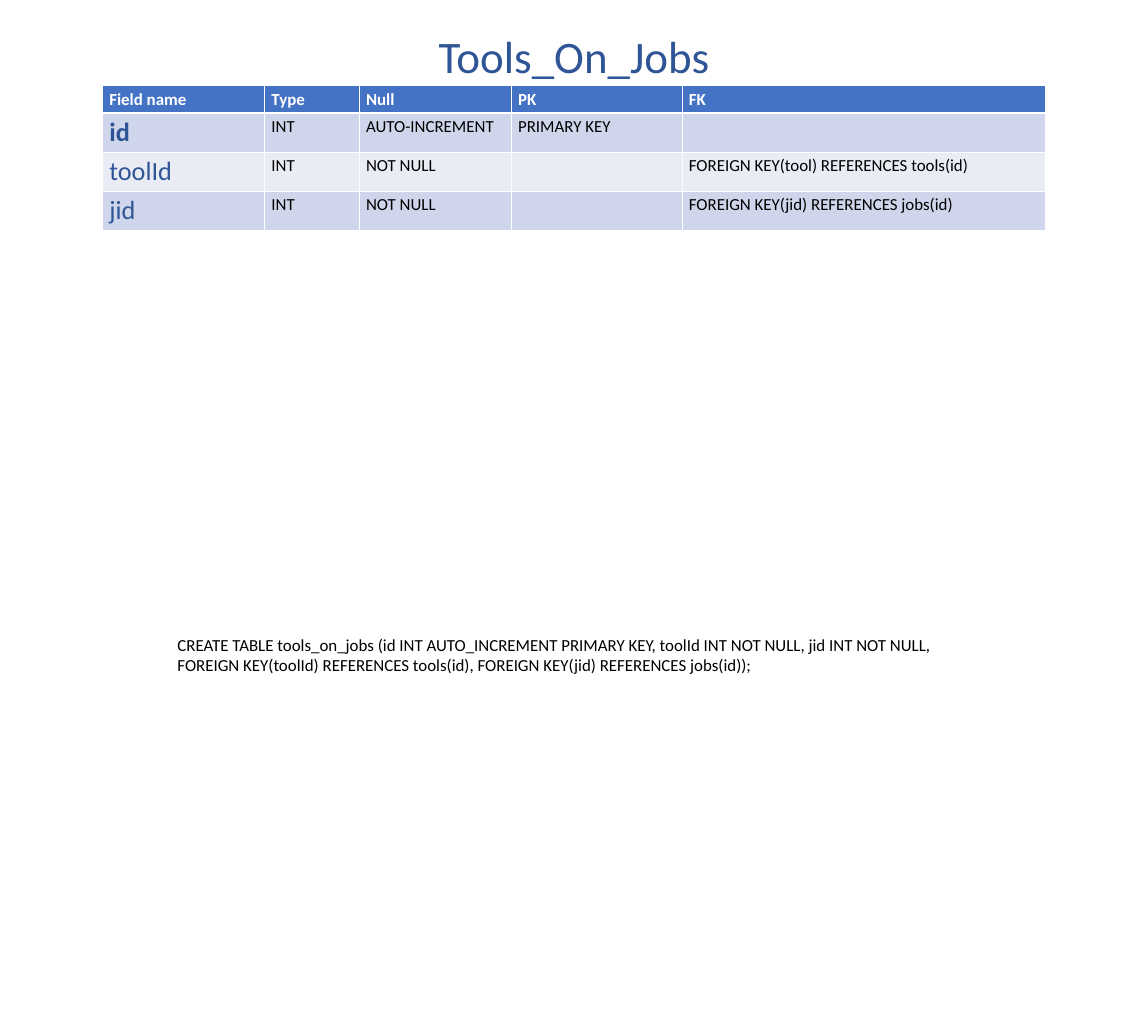
from dataclasses import dataclass

from lxml.etree import SubElement
from pptx import Presentation
from pptx.dml.color import RGBColor
from pptx.enum.text import MSO_ANCHOR as Anchor, MSO_AUTO_SIZE as AutoSize, PP_ALIGN as Align
from pptx.oxml.ns import qn
from pptx.slide import Slide
from pptx.table import _Cell as Cell
from pptx.text.text import TextFrame
from pptx.util import Inches, Pt

WIDTH, HEIGHT = Inches(17), Inches(15)
FONT = "Calibri"
WHITE, BLACK, NAVY, HEADER_BLUE = "FFFFFF", "000000", "2F5597", "4472C4"
BANDS = ("CFD5EA", "E9EBF5")
HEADINGS = ("Field name", "Type", "Null", "PK", "FK")
COLUMN_SHARES = (14.12, 8.24, 13.24, 14.88, 31.65)
HEADER_SHARE, FIELD_SHARE = 2.7, 3.85
SQL = (
    "CREATE TABLE tools_on_jobs (id INT AUTO_INCREMENT PRIMARY KEY, "
    "toolId INT NOT NULL, jid INT NOT NULL, "
    "FOREIGN KEY(toolId) REFERENCES tools(id), "
    "FOREIGN KEY(jid) REFERENCES jobs(id));"
)


@dataclass(frozen=True)
class Area:
    """A rectangle in percent of the slide's width and height."""
    left: float
    top: float
    width: float
    height: float

    def lengths(self) -> tuple[int, int, int, int]:
        return across(self.left), down(self.top), across(self.width), down(self.height)


@dataclass(frozen=True)
class Field:
    name: str
    null: str
    primary: str = ""
    foreign: str = ""
    kind: str = "INT"
    bold: bool = False


@dataclass(frozen=True)
class Style:
    size: int
    color: str
    bold: bool = False


FIELDS = (
    Field("id", "AUTO-INCREMENT", primary="PRIMARY KEY", bold=True),
    Field("toolId", "NOT NULL", foreign="FOREIGN KEY(tool) REFERENCES tools(id)"),
    Field("jid", "NOT NULL", foreign="FOREIGN KEY(jid) REFERENCES jobs(id)"),
)
TITLE_AREA = Area(33.33, 2.47, 33.33, 6.07)
TABLE_AREA = Area(8.94, 8.47, sum(COLUMN_SHARES), HEADER_SHARE + FIELD_SHARE * len(FIELDS))
SQL_AREA = Area(14.88, 62.33, 69.71, 4.73)
HEADING_STYLE = Style(18, WHITE, bold=True)
BODY_STYLE = Style(18, BLACK)


def across(share: float) -> int:
    return round(WIDTH * share / 100)


def down(share: float) -> int:
    return round(HEIGHT * share / 100)


def rgb(color: str) -> RGBColor:
    return RGBColor.from_string(color)


def write(frame: TextFrame, text: str, style: Style) -> None:
    frame.text = text
    for para in frame.paragraphs:
        para.font.size = Pt(style.size)
        for span in para.runs:
            span.font.name = FONT
            span.font.size = Pt(style.size)
            span.font.bold = style.bold
            span.font.color.rgb = rgb(style.color)


def add_borders(cell: Cell, top: int, bottom: int) -> None:
    """Draw white borders, with the top and bottom widths in points."""
    properties = cell._tc.get_or_add_tcPr()
    for side, points in (("L", 1), ("R", 1), ("T", top), ("B", bottom)):
        line = SubElement(properties, qn(f"a:ln{side}"), w=str(Pt(points)))
        fill = SubElement(line, qn("a:solidFill"))
        SubElement(fill, qn("a:srgbClr"), val=WHITE)


def fill_cell(cell: Cell, text: str, style: Style, color: str, row: int) -> None:
    write(cell.text_frame, text, style)
    add_borders(cell, top=3 if row == 1 else 1, bottom=3 if row == 0 else 1)
    cell.fill.solid()
    cell.fill.fore_color.rgb = rgb(color)


def add_title(slide: Slide) -> None:
    title = slide.shapes.title
    title.left, title.top, title.width, title.height = TITLE_AREA.lengths()
    frame = title.text_frame
    write(frame, "Tools_On_Jobs", Style(48, NAVY))
    frame.auto_size = AutoSize.NONE
    frame.vertical_anchor = Anchor.TOP
    frame.paragraphs[0].alignment = Align.CENTER


def add_field_table(slide: Slide) -> None:
    table = slide.shapes.add_table(
        len(FIELDS) + 1, len(HEADINGS), *TABLE_AREA.lengths()
    ).table
    for column, share in zip(table.columns, COLUMN_SHARES):
        column.width = across(share)
    for index, row in enumerate(table.rows):
        row.height = down(FIELD_SHARE if index else HEADER_SHARE)
    for column, heading in enumerate(HEADINGS):
        fill_cell(table.cell(0, column), heading, HEADING_STYLE, HEADER_BLUE, 0)
    for row, field in enumerate(FIELDS, start=1):
        band = BANDS[(row - 1) % 2]
        texts = (field.name, field.kind, field.null, field.primary, field.foreign)
        for column, text in enumerate(texts):
            style = BODY_STYLE if column else Style(28, NAVY, field.bold)
            fill_cell(table.cell(row, column), text, style, band, row)


def add_sql(slide: Slide) -> None:
    box = slide.shapes.add_textbox(*SQL_AREA.lengths())
    box.text_frame.word_wrap = True
    write(box.text_frame, SQL, BODY_STYLE)


def main() -> None:
    deck = Presentation()
    deck.slide_width, deck.slide_height = WIDTH, HEIGHT
    page = deck.slides.add_slide(deck.slide_layouts.get_by_name("Title Only"))
    add_field_table(page)
    add_title(page)
    add_sql(page)
    deck.save("out.pptx")


if __name__ == "__main__":
    main()
